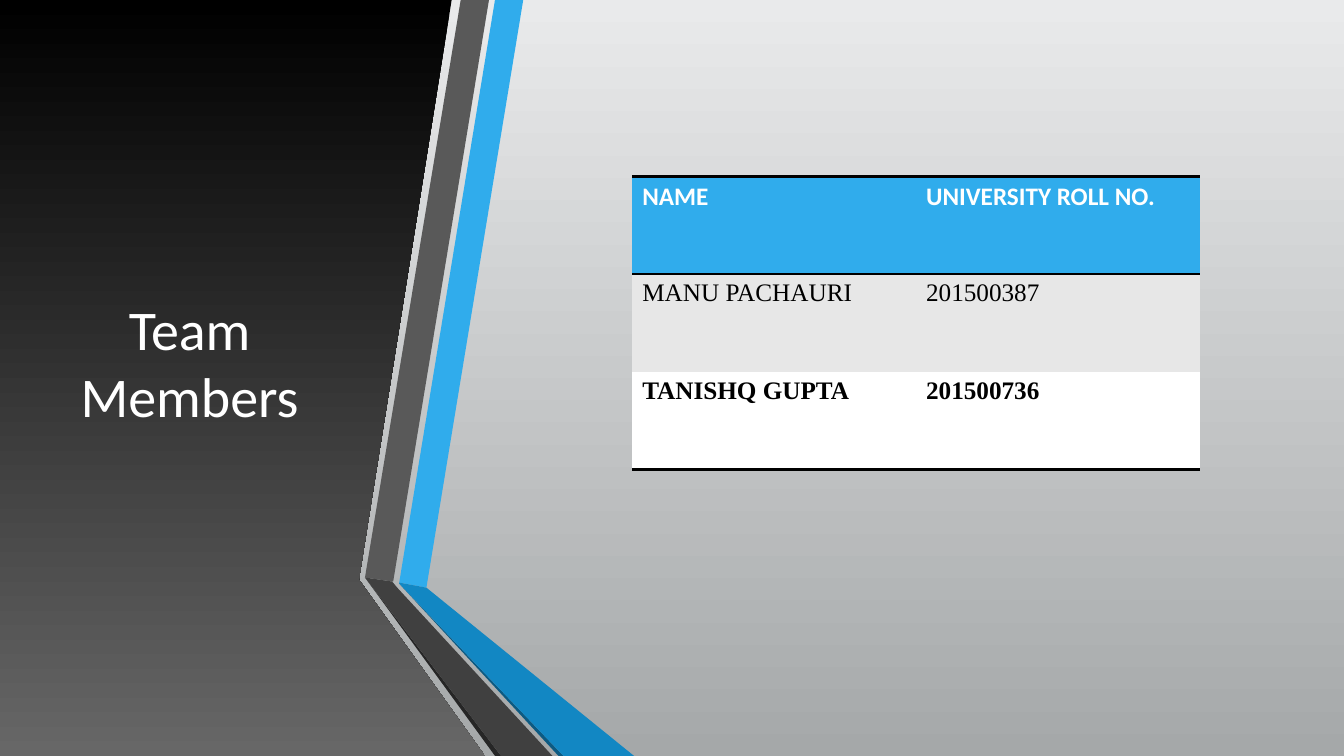
from dataclasses import dataclass

from lxml.etree import SubElement
from pptx import Presentation
from pptx.dml.color import RGBColor
from pptx.enum.text import MSO_ANCHOR, PP_ALIGN
from pptx.oxml.ns import qn
from pptx.util import Inches, Pt


@dataclass(frozen=True)
class Theme:
    white: str = "FFFFFF"
    black: str = "000000"
    light: str = "E9EAEB"
    silver: str = "A5A8A9"
    smoke: str = "676767"
    band: str = "E7E7E7"
    sky: str = "30ACEC"
    blue: str = "1287C3"
    navy: str = "0C5A82"
    gray: str = "595959"
    dark: str = "404040"
    deep: str = "262626"
    sans: str = "Calibri"
    serif: str = "Times New Roman"
    title: int = 40
    body: int = 18


THEME = Theme()
NO_STYLE = "{2D5ABB26-0587-4C30-8999-92F81FD0307C}"

PANEL = [(0, 0), (4.48, 0), (3.56, 5.75), (4.81, 7.5), (0, 7.5)]
RIBBONS = [
    (THEME.sky, [(3.96, 5.78), (4.23, 5.83), (5.19, 0), (4.91, 0)]),
    (THEME.gray, [(4.85, 0), (4.57, 0), (3.62, 5.73), (3.9, 5.77)]),
    (THEME.deep, [(3.62, 5.73), (4.91, 7.5), (4.97, 7.5)]),
    (THEME.navy, [(3.96, 5.79), (5.54, 7.5), (5.59, 7.5)]),
    (THEME.blue, [(3.96, 5.79), (5.59, 7.5), (6.29, 7.5), (4.23, 5.83),
                  (3.96, 5.78)]),
    (THEME.dark, [(5.48, 7.5), (3.94, 5.83), (3.89, 5.77), (3.62, 5.73),
                  (4.97, 7.5)]),
]

# Text, fill, font, font colour, bold, and border widths by side
ROWS = [
    (("NAME", "UNIVERSITY ROLL NO."), THEME.sky, THEME.sans, THEME.white,
     True, {"T": 2, "B": 1.5}),
    (("MANU PACHAURI", "201500387"), THEME.band, THEME.serif, THEME.black,
     False, {}),
    (("TANISHQ GUPTA", "201500736"), THEME.white, THEME.serif, THEME.black,
     True, {"B": 2}),
]


def paint(fill, color):
    fill.solid()
    fill.fore_color.rgb = RGBColor.from_string(color)


def shade(fill, top, bottom):
    """Fill with a gradient that runs straight down."""
    fill.gradient()
    fill.gradient_angle = 270
    for stop, color in zip(fill.gradient_stops, (top, bottom)):
        stop.color.rgb = RGBColor.from_string(color)


def style(para, name, size, color, bold=False):
    font = para.font
    font.name, font.size, font.bold = name, Pt(size), bold
    font.color.rgb = RGBColor.from_string(color)


def add_shape(slide, points):
    """Add a closed outline without line or shadow."""
    first, *rest = [(Inches(x), Inches(y)) for x, y in points]
    pen = slide.shapes.build_freeform(*first)
    pen.add_line_segments(rest)
    shape = pen.convert_to_shape()
    shape.shadow.inherit = False
    shape.line.fill.background()
    return shape


def add_title(slide, text):
    box = slide.shapes.add_textbox(Inches(0.29), Inches(0.85),
                                   Inches(3.18), Inches(5.48))
    frame = box.text_frame
    frame.word_wrap = True
    frame.vertical_anchor = MSO_ANCHOR.MIDDLE
    para = frame.paragraphs[0]
    para.text = text
    para.alignment = PP_ALIGN.CENTER
    style(para, THEME.sans, THEME.title, THEME.white)


def add_edge(cell, side, width):
    line = SubElement(cell._tc.get_or_add_tcPr(), qn(f"a:ln{side}"),
                      w=str(Pt(width)))
    fill = SubElement(line, qn("a:solidFill"))
    SubElement(fill, qn("a:srgbClr"), val=THEME.black)


def add_grid(slide, rows):
    cols = len(rows[0][0])
    grid = slide.shapes.add_table(len(rows), cols, Inches(6.27), Inches(1.75),
                                  Inches(5.63), Inches(2.91)).table
    grid._tbl.tblPr.find(qn("a:tableStyleId")).text = NO_STYLE
    for r, (texts, fill, name, color, bold, edges) in enumerate(rows):
        for c, text in enumerate(texts):
            cell = grid.cell(r, c)
            cell.text = text
            style(cell.text_frame.paragraphs[0], name, THEME.body, color, bold)
            for side, width in edges.items():
                add_edge(cell, side, width)
            paint(cell.fill, fill)


def main():
    deck = Presentation()
    deck.slide_width, deck.slide_height = Inches(13.33), Inches(7.5)
    slide = deck.slides.add_slide(deck.slide_layouts[6])
    shade(slide.background.fill, THEME.light, THEME.silver)
    shade(add_shape(slide, PANEL).fill, THEME.black, THEME.smoke)
    add_title(slide, "Team Members")
    for color, points in RIBBONS:
        paint(add_shape(slide, points).fill, color)
    add_grid(slide, ROWS)
    deck.save("out.pptx")


if __name__ == "__main__":
    main()
